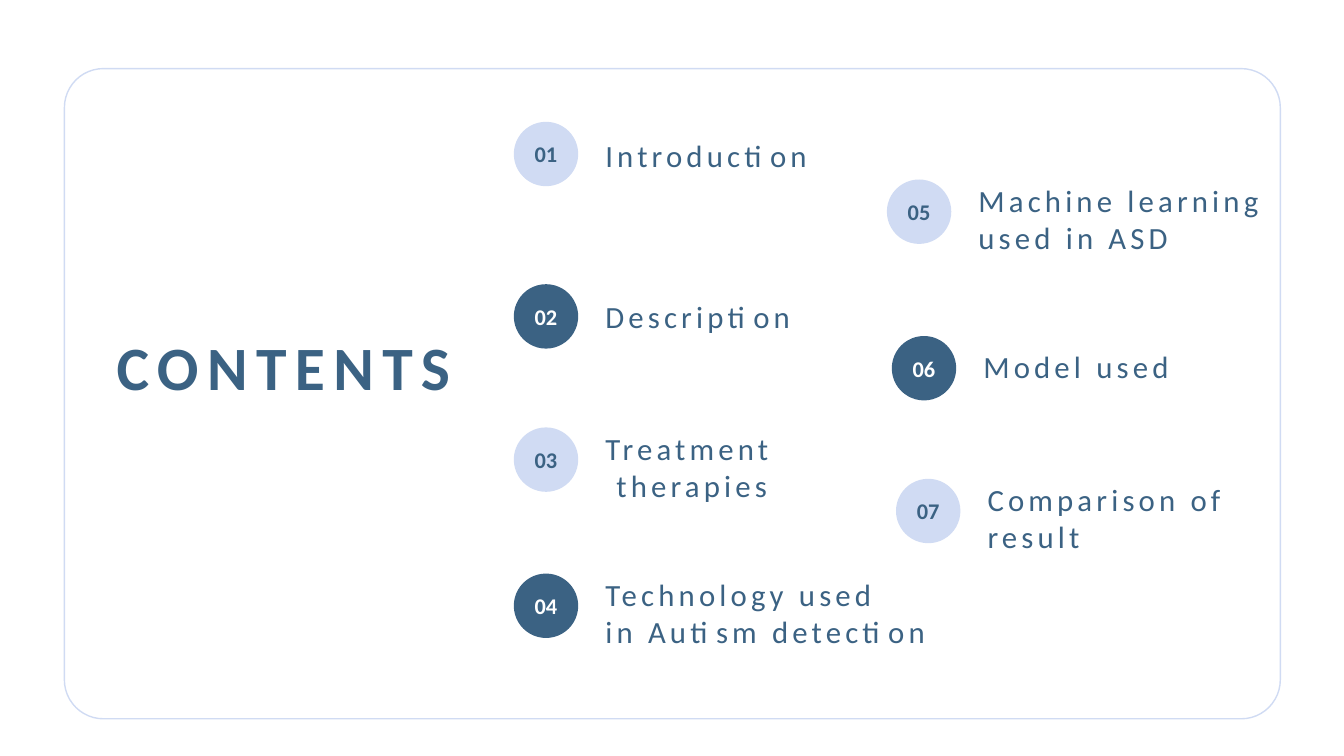
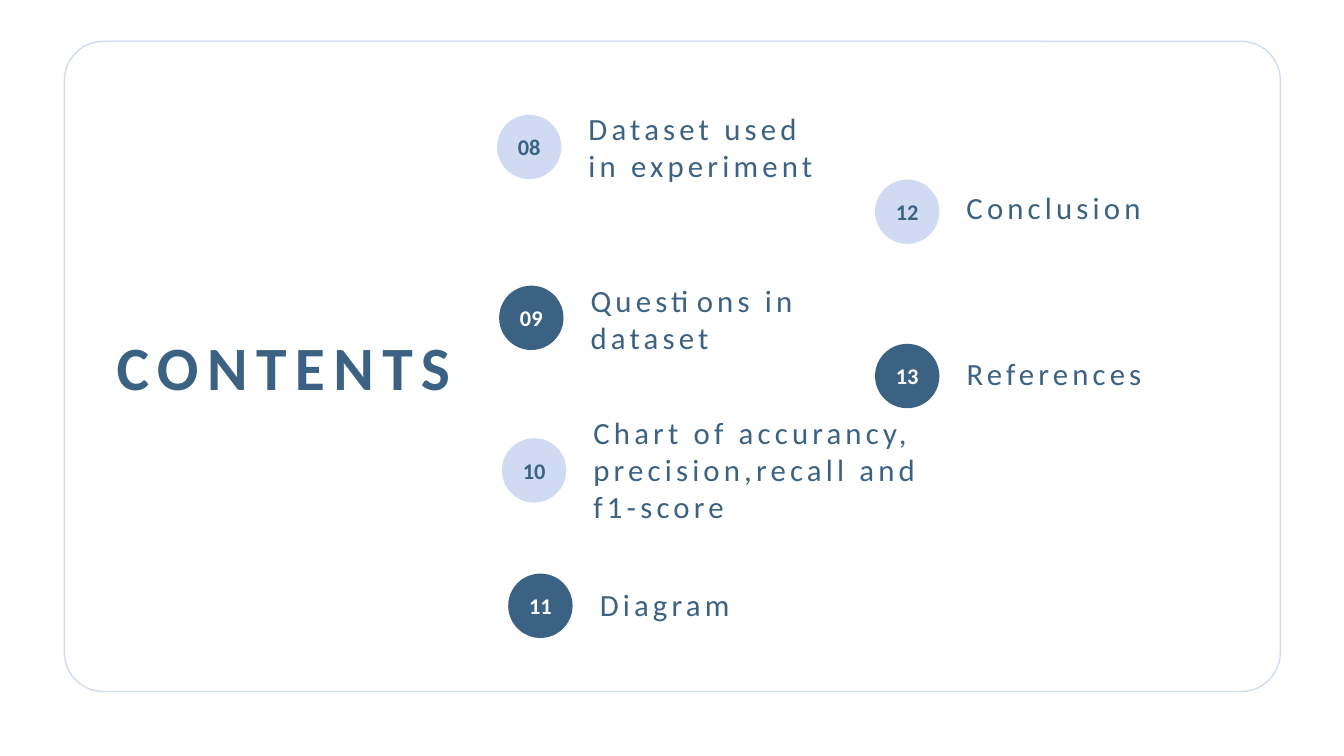
from dataclasses import dataclass

from pptx import Presentation
from pptx.dml.color import RGBColor
from pptx.enum import shapes, text
from pptx.util import Pt


@dataclass(frozen=True)
class Theme:
    font: str = "Calibri"
    dark: RGBColor = RGBColor(0x3B, 0x62, 0x83)
    light: RGBColor = RGBColor(0xD0, 0xDB, 0xF3)
    white: RGBColor = RGBColor(0xFF, 0xFF, 0xFF)
    title_size: int = 44
    entry_size: int = 22
    number_size: int = 16
    title_spacing: int = 6
    entry_spacing: int = 3


theme = Theme()

CIRCLE_SIZE = 46
TEXT_OFFSET = 58.3  # from the left of a circle to the left of its text box
LINE_HEIGHT = 26.9
BOX_PADDING = 7.2


def write_lines(frame, lines, size, color, spacing=0, bold=False, align=text.PP_ALIGN.LEFT):
    """Fill a text frame with one paragraph per line; spacing is in points between letters."""
    font_format = {"name": theme.font, "size": Pt(size), "bold": bold}
    for index, line in enumerate(lines):
        paragraph = frame.add_paragraph() if index else frame.paragraphs[0]
        paragraph.alignment = align
        run = paragraph.add_run()
        run.text = line
        for name, value in font_format.items():
            setattr(run.font, name, value)
        run.font.color.rgb = color
        if spacing:
            run._r.get_or_add_rPr().set("spc", str(spacing * 100))


def add_filled_shape(container, kind, left, top, width, height, fill, line=None):
    shape = container.add_shape(kind, Pt(left), Pt(top), Pt(width), Pt(height))
    shape.shadow.inherit = False
    shape.fill.solid()
    shape.fill.fore_color.rgb = fill
    if line is None:
        shape.line.fill.background()
    else:
        shape.line.color.rgb = line
        shape.line.width = Pt(1)
    return shape


# Each slide: top of the frame, then its entries as
# (circle left, circle top, text top, text width, lines).
contents = [
    (49, [
        (367, 87, 94.3, 161, ["Introduction"]),
        (367, 203, 208.8, 186, ["Description"]),
        (367, 305.3, 303.1, 140, ["Treatment", " therapies"]),
        (367, 409.7, 407.5, 250, ["Technology used", "in Autism detection"]),
        (633.5, 128.2, 126, 222, ["Machine learning", "used in ASD"]),
        (637, 240, 244.8, 150, ["Model used"]),
        (640, 342, 339.8, 195, ["Comparison of", "result"]),
    ]),
    (29.5, [
        (355, 82, 75, 180, ["Dataset used", "in experiment"]),
        (356.5, 204, 198, 206, ["Questions in", "dataset"]),
        (358.5, 313, 291.8, 252, ["Chart of accurancy,", "precision,recall and", "f1-score"]),
        (363, 409.7, 414.7, 112, ["Diagram"]),
        (625, 128.2, 131.2, 144, ["Conclusion"]),
        (625, 245.6, 249.8, 145, ["References"]),
    ]),
]

presentation = Presentation()
presentation.slide_width, presentation.slide_height = Pt(960), Pt(540)
title_only = presentation.slide_layouts[5]

number = 0
for frame_top, entries in contents:
    slide = presentation.slides.add_slide(title_only)

    title = slide.shapes.title
    title_place = {"left": 0, "top": 231, "width": 405, "height": 60.5}
    for name, value in title_place.items():
        setattr(title, name, Pt(value))
    title.text_frame.auto_size = text.MSO_AUTO_SIZE.NONE
    title.text_frame.vertical_anchor = text.MSO_ANCHOR.MIDDLE
    write_lines(title.text_frame, ["CONTENTS"], theme.title_size, theme.dark,
                theme.title_spacing, bold=True, align=text.PP_ALIGN.CENTER)

    border = add_filled_shape(slide.shapes, shapes.MSO_SHAPE.ROUNDED_RECTANGLE,
                              46, frame_top, 868.5, 464.4, theme.white, theme.light)
    border.adjustments[0] = 0.06
    title.element.addprevious(border.element)

    for index, (left, top, text_top, text_width, lines) in enumerate(entries):
        number += 1
        fill, ink = [(theme.light, theme.dark), (theme.dark, theme.white)][index % 2]
        group = slide.shapes.add_group_shape()

        circle = add_filled_shape(group.shapes, shapes.MSO_SHAPE.OVAL,
                                  left, top, CIRCLE_SIZE, CIRCLE_SIZE, fill)
        for side in ("left", "top", "right", "bottom"):
            setattr(circle.text_frame, f"margin_{side}", 0)
        circle.text_frame.vertical_anchor = text.MSO_ANCHOR.MIDDLE
        write_lines(circle.text_frame, [f"{number:02}"], theme.number_size, ink,
                    bold=True, align=text.PP_ALIGN.CENTER)

        label = group.shapes.add_textbox(
            Pt(left + TEXT_OFFSET), Pt(text_top), Pt(text_width),
            Pt(LINE_HEIGHT * len(lines) + BOX_PADDING))
        label.text_frame.word_wrap = True
        write_lines(label.text_frame, lines, theme.entry_size, theme.dark, theme.entry_spacing)

presentation.save("out.pptx")
